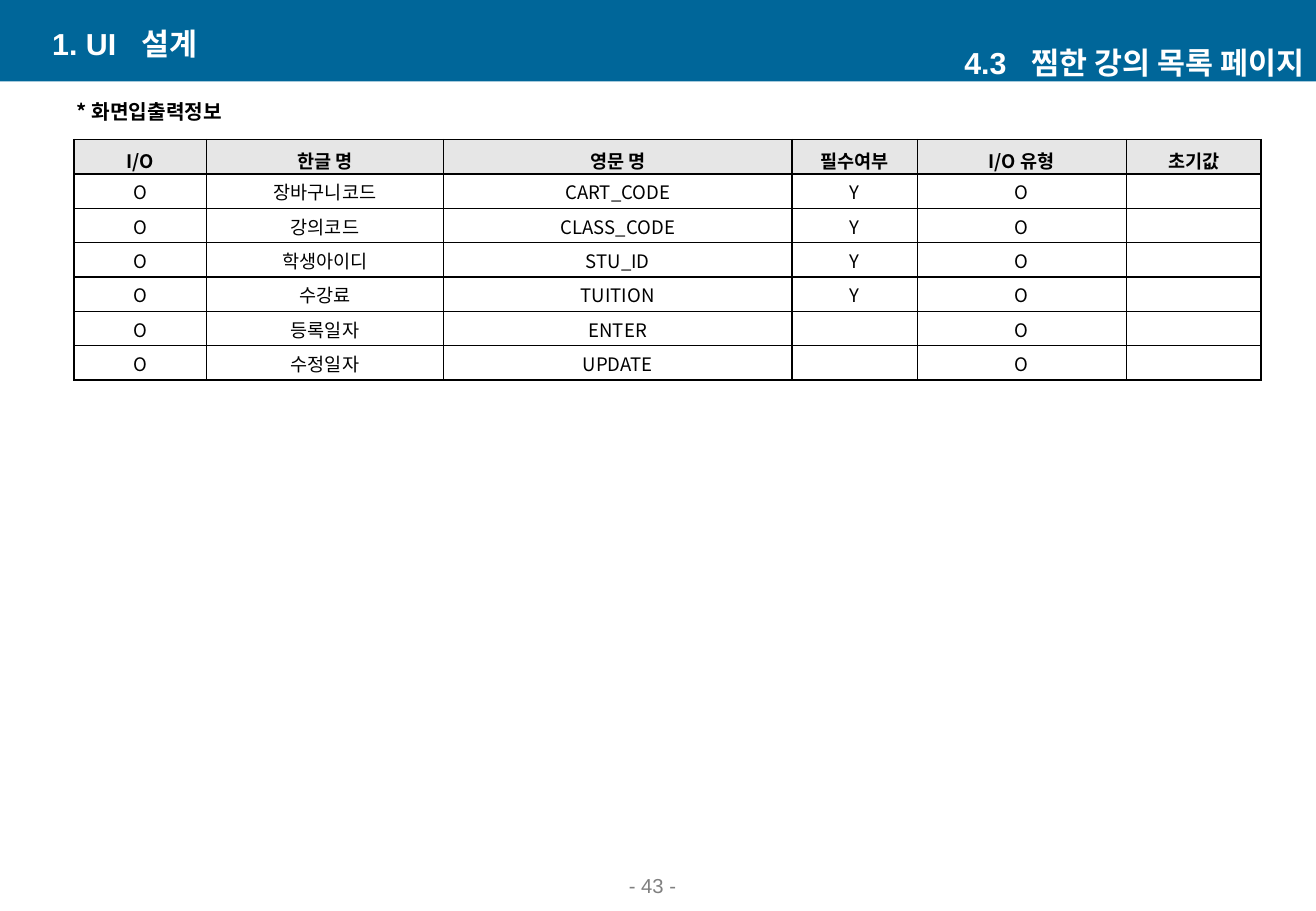
from lxml.etree import SubElement
from pptx import Presentation
from pptx.dml.color import RGBColor
from pptx.enum.shapes import MSO_SHAPE
from pptx.enum.text import MSO_ANCHOR, MSO_AUTO_SIZE, PP_ALIGN
from pptx.oxml.ns import qn
from pptx.util import Inches, Pt

COLORS = {"band": "006699", "header": "E6E6E6", "text": "000000",
          "white": "FFFFFF", "page": "808080"}
LATIN, KOREAN = "Arial", "Noto Sans CJK KR"


def style(paragraph, size, color, name, bold=False, align=PP_ALIGN.CENTER):
    paragraph.alignment = align
    font = paragraph.font
    font.size, font.bold, font.name = Pt(size), bold, name
    font.color.rgb = RGBColor.from_string(COLORS[color])
    properties = paragraph._p.get_or_add_pPr().find(qn("a:defRPr"))
    SubElement(properties, qn("a:ea"), typeface=KOREAN)


def place(shape, left, top, width, height, anchor):
    shape.left, shape.top = Inches(left), Inches(top)
    shape.width, shape.height = Inches(width), Inches(height)
    frame = shape.text_frame
    frame.word_wrap = True
    frame.auto_size = MSO_AUTO_SIZE.NONE
    frame.vertical_anchor = anchor
    return frame.paragraphs[0]


presentation = Presentation()
presentation.slide_width, presentation.slide_height = Inches(10.83), Inches(7.5)
slide = presentation.slides.add_slide(presentation.slide_layouts[5])
shapes = slide.shapes

# Header band, behind the title
band = shapes.add_shape(MSO_SHAPE.RECTANGLE, 0, 0, presentation.slide_width, Inches(0.67))
band.shadow.inherit = False
band.fill.solid()
band.fill.fore_color.rgb = RGBColor.from_string(COLORS["band"])
band.line.fill.background()
shapes._spTree.insert(2, band._element)

# Chapter title and page heading, with a wide gap after the number
headings = [
    (shapes.title, 0.33, 0.19, PP_ALIGN.LEFT, "1. UI", "설계"),
    (shapes.add_textbox(0, 0, 0, 0), 6.45, 0.35, PP_ALIGN.RIGHT, "4.3", "찜한 강의 목록 페이지"),
]
for shape, left, top, align, number, name in headings:
    paragraph = place(shape, left, top, 4.38, 0.33, MSO_ANCHOR.MIDDLE)
    number_run, gap_run, name_run = [paragraph.add_run() for _ in range(3)]
    number_run.text, gap_run.text, name_run.text = number, " ", name
    gap_run._r.get_or_add_rPr().set("spc", "1000")
    style(paragraph, 18, "white", LATIN, True, align)

# Table caption and page number
caption = place(shapes.add_textbox(0, 0, 0, 0), 0.47, 0.77, 1.52, 0.3, MSO_ANCHOR.TOP)
caption.text = "* 화면입출력정보"
style(caption, 12, "text", KOREAN, True)
page_number = place(shapes.add_textbox(0, 0, 0, 0), 4.24, 7.13, 2.26, 0.31, MSO_ANCHOR.BOTTOM)
page_number.text = "- 43 -"
style(page_number, 12, "page", LATIN)

# Input and output table
rows = [
    ("I/O", "한글 명", "영문 명", "필수여부", "I/O 유형", "초기값"),
    ("O", "장바구니코드", "CART_CODE", "Y", "O", ""),
    ("O", "강의코드", "CLASS_CODE", "Y", "O", ""),
    ("O", "학생아이디", "STU_ID", "Y", "O", ""),
    ("O", "수강료", "TUITION", "Y", "O", ""),
    ("O", "등록일자", "ENTER", "", "O", ""),
    ("O", "수정일자", "UPDATE", "", "O", ""),
]
column_widths = [1.09, 1.95, 2.87, 1.03, 1.72, 1.11]
table = shapes.add_table(len(rows), len(column_widths), Inches(0.61), Inches(1.15),
                         Inches(sum(column_widths)), Inches(1.98)).table
for column, width in zip(table.columns, column_widths):
    column.width = Inches(width)

for row_index, row in enumerate(rows):
    is_header = row_index == 0
    for column_index, text in enumerate(row):
        cell = table.cell(row_index, column_index)
        cell.vertical_anchor = MSO_ANCHOR.MIDDLE
        cell.margin_left = cell.margin_right = Inches(0.07 if is_header else 0.01)
        cell.margin_top = Inches(0 if is_header else 0.01)
        cell.margin_bottom = 0
        paragraph = cell.text_frame.paragraphs[0]
        if text:
            paragraph.text = text
        else:
            paragraph._p.get_or_add_endParaRPr().set("sz", "1100")
        if is_header:
            paragraph.line_spacing = 1.27
        style(paragraph, 11, "text", KOREAN, is_header)

        # Borders come before the fill in the cell properties
        properties = cell._tc.get_or_add_tcPr()
        for side in ("a:lnL", "a:lnR", "a:lnT", "a:lnB"):
            border = SubElement(properties, qn(side), w=str(Pt(1)))
            fill = SubElement(border, qn("a:solidFill"))
            SubElement(fill, qn("a:srgbClr"), val=COLORS["text"])
        cell.fill.solid()
        cell.fill.fore_color.rgb = RGBColor.from_string(COLORS["header" if is_header else "white"])

presentation.save("out.pptx")
